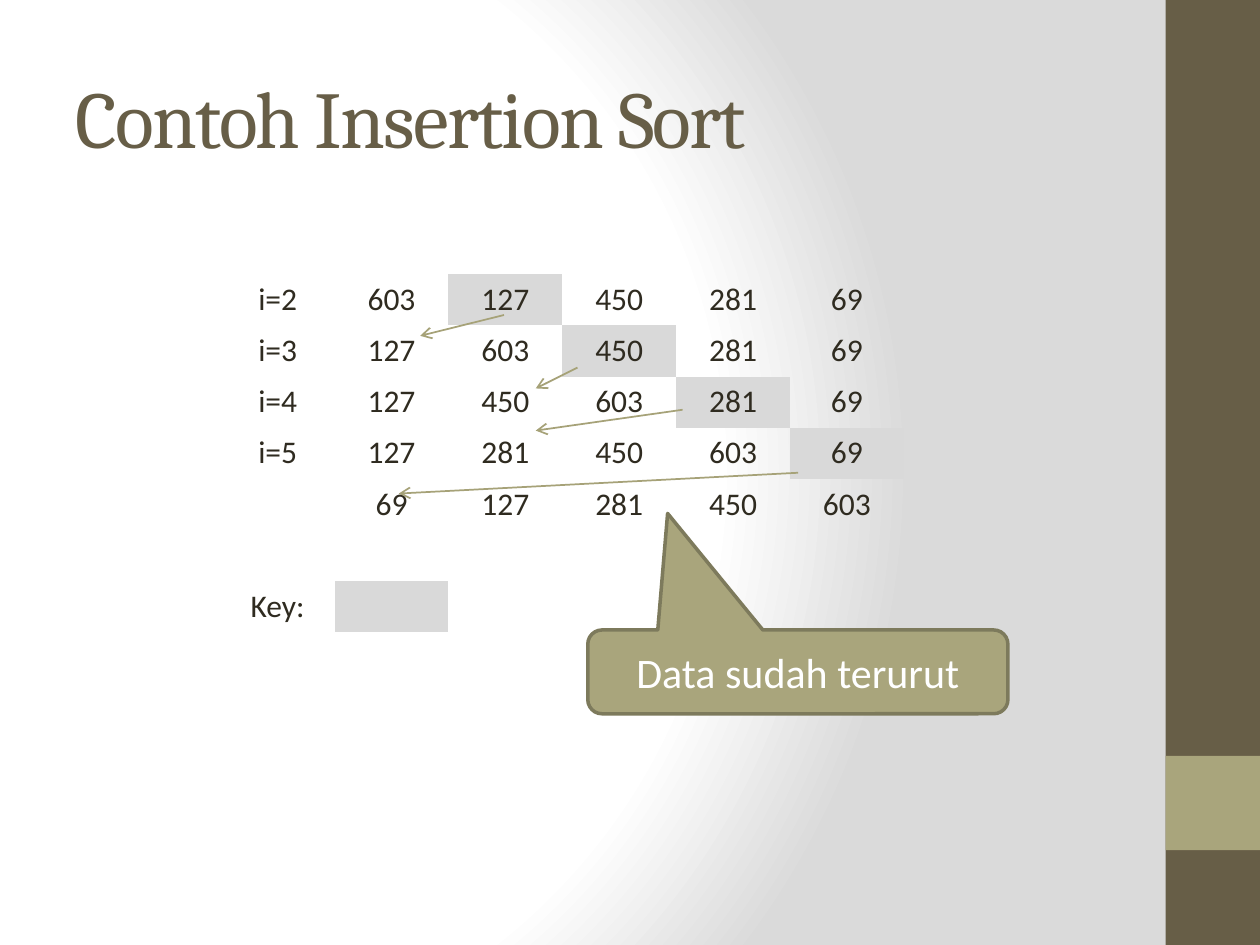
from dataclasses import dataclass

from lxml.etree import SubElement
from pptx import Presentation
from pptx.dml.color import RGBColor
from pptx.enum.shapes import MSO_CONNECTOR, MSO_SHAPE
from pptx.enum.text import MSO_ANCHOR, PP_ALIGN
from pptx.oxml import parse_xml
from pptx.oxml.ns import nsdecls, qn
from pptx.util import Cm, Pt


@dataclass(frozen=True)
class Theme:
    """Colours, fonts and type sizes of the slide."""
    brown: str = "675E47"
    olive: str = "A9A57C"
    outline: str = "7D7A5C"
    arrow: str = "A6A278"
    ink: str = "2F2B20"
    key: str = "D9D9D9"
    white: str = "FFFFFF"
    shade: str = "DADADA"
    heading_font: str = "Cambria"
    body_font: str = "Calibri"
    title_size: int = 46
    callout_size: int = 24
    table_size: int = 18


THEME = Theme()
NUMBERS = [603, 127, 450, 281, 69]
NO_STYLE = "{2D5ABB26-0587-4C30-8999-92F81FD0307C}"
ARROWS = [
    ((10.16, 6.35), (8.47, 6.77)),
    ((11.64, 7.41), (10.8, 7.83)),
    ((13.76, 8.26), (10.8, 8.68)),
    ((16.09, 9.53), (8.04, 9.95)),
]


def paint(fill, color):
    """Fill an area with one solid colour."""
    fill.solid()
    fill.fore_color.rgb = RGBColor.from_string(color)


def write(frame, text, font, size, color, align=PP_ALIGN.CENTER):
    """Set the text of a frame and format it."""
    frame.text = text
    para = frame.paragraphs[0]
    para.alignment = align
    for span in para.runs:
        span.font.name = font
        span.font.size = Pt(size)
        span.font.color.rgb = RGBColor.from_string(color)


def paint_background(page):
    """Give the page a radial gradient from white to grey."""
    page.background.fill.gradient()
    gradient = page.element.find(".//" + qn("a:gradFill"))
    stops = ((0, THEME.white), (75, THEME.white), (100, THEME.shade))
    marks = "".join(
        f'<a:gs pos="{place * 1000}"><a:srgbClr val="{color}"/></a:gs>'
        for place, color in stops
    )
    gradient.getparent().replace(gradient, parse_xml(
        f'<a:gradFill rotWithShape="1" {nsdecls("a")}><a:gsLst>{marks}</a:gsLst>'
        '<a:path path="circle"><a:fillToRect l="20000" t="50000" r="100000" b="50000"/>'
        '</a:path></a:gradFill>'
    ))


def add_block(page, kind, left, top, width, height, color):
    """Add a filled shape without shadow or outline."""
    shape = page.shapes.add_shape(kind, Cm(left), Cm(top), Cm(width), Cm(height))
    shape.shadow.inherit = False
    paint(shape.fill, color)
    shape.line.fill.background()
    return shape


def add_title(page, text):
    """Add the slide heading."""
    box = page.shapes.add_textbox(Cm(1.27), Cm(0.76), Cm(21.16), Cm(3.18))
    frame = box.text_frame
    frame.word_wrap = True
    frame.vertical_anchor = MSO_ANCHOR.MIDDLE
    write(frame, text, THEME.heading_font, THEME.title_size, THEME.brown, PP_ALIGN.LEFT)
    for span in frame.paragraphs[0].runs:
        span.font._element.set("spc", "-100")


def sorting_rows(numbers):
    """List the state of the numbers before each insertion and at the end."""
    count = len(numbers)
    return [sorted(numbers[:step]) + numbers[step:] for step in range(1, count + 1)]


def add_sorting_table(page):
    """Add the table of sorting steps with its key."""
    states = sorting_rows(NUMBERS)
    labels = [f"i={step}" for step in range(2, len(NUMBERS) + 1)] + [""]
    blank = [""] * (len(NUMBERS) + 1)
    rows = [blank]
    rows += [[label, *map(str, state)] for label, state in zip(labels, states)]
    rows += [blank, ["Key:"] + blank[1:]]
    keys = {(step, step + 1) for step in range(1, len(NUMBERS))} | {(len(rows) - 1, 1)}

    graphic = page.shapes.add_table(
        len(rows), len(blank), Cm(4.45), Cm(4.5), Cm(13.77), Cm(8.24))
    table = graphic.table
    table.first_row = table.horz_banding = False
    table._tbl.tblPr.find(qn("a:tableStyleId")).text = NO_STYLE
    for row, texts in enumerate(rows):
        for column, text in enumerate(texts):
            cell = table.cell(row, column)
            write(cell.text_frame, text, THEME.body_font, THEME.table_size, THEME.ink)
            if (row, column) in keys:
                paint(cell.fill, THEME.key)
            else:
                cell.fill.background()


def add_arrow(page, start, end):
    """Add a thin arrow between two points."""
    arrow = page.shapes.add_connector(
        MSO_CONNECTOR.STRAIGHT, *(Cm(value) for value in (*start, *end)))
    arrow.line.color.rgb = RGBColor.from_string(THEME.arrow)
    arrow.line.width = Pt(1)
    SubElement(arrow.line._get_or_add_ln(), qn("a:tailEnd"), type="arrow")
    SubElement(arrow._element.spPr, qn("a:effectLst"))


def add_callout(page, text):
    """Add the speech callout pointing at the sorted row."""
    callout = add_block(
        page, MSO_SHAPE.ROUNDED_RECTANGULAR_CALLOUT, 11.85, 12.7, 8.47, 1.69, THEME.olive)
    for index, value in enumerate((-0.31, -1.89, 0.17)):
        callout.adjustments[index] = value
    callout.line.color.rgb = RGBColor.from_string(THEME.outline)
    callout.line.width = Pt(2)
    callout.text_frame.vertical_anchor = MSO_ANCHOR.MIDDLE
    write(callout.text_frame, text, THEME.body_font, THEME.callout_size, THEME.white)


def main():
    """Build the slide and save the deck."""
    deck = Presentation()
    deck.slide_width, deck.slide_height = Cm(25.4), Cm(19.05)
    page = deck.slides.add_slide(deck.slide_layouts[6])
    paint_background(page)
    add_block(page, MSO_SHAPE.RECTANGLE, 23.5, 0, 1.9, 19.05, THEME.brown)
    add_block(page, MSO_SHAPE.RECTANGLE, 23.5, 15.24, 1.9, 1.9, THEME.olive)
    add_title(page, "Contoh Insertion Sort")
    add_sorting_table(page)
    for start, end in ARROWS:
        add_arrow(page, start, end)
    add_callout(page, "Data sudah terurut")
    deck.save("out.pptx")


main()
